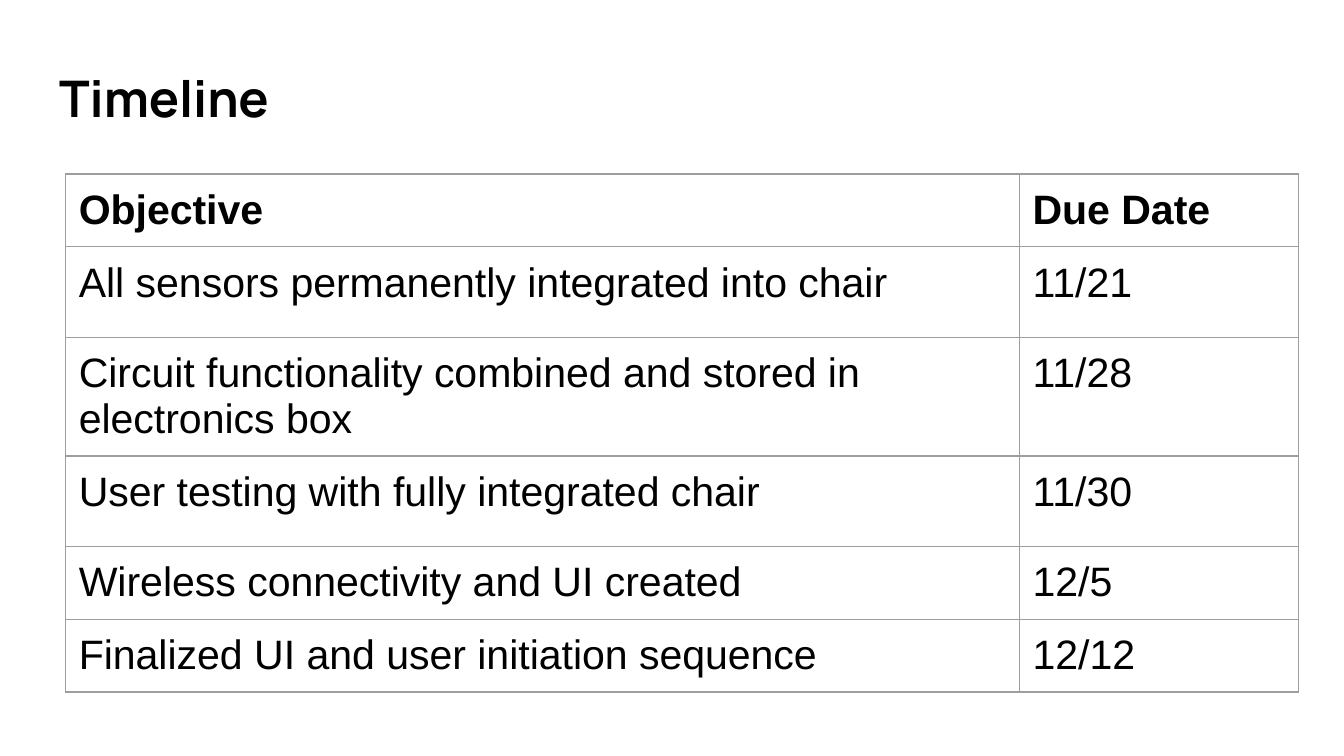
import pptx
import pptx.dml.color
import pptx.enum.text
import pptx.oxml
import pptx.oxml.ns
import pptx.util

Pt = pptx.util.Pt
ANCHOR = pptx.enum.text.MSO_ANCHOR

COLORS = {"text": "000000", "background": "FFFFFF", "border": "9E9E9E"}

MILESTONES = [
    ("Objective", "Due Date"),
    ("All sensors permanently integrated into chair", "11/21"),
    ("Circuit functionality combined and stored in electronics box", "11/28"),
    ("User testing with fully integrated chair", "11/30"),
    ("Wireless connectivity and UI created", "12/5"),
    ("Finalized UI and user initiation sequence", "12/12"),
]
COLUMN_WIDTHS = (511, 149.6)
ROW_HEIGHTS = (36, 48.4, 59, 48.4, 36, 36)


def rgb(name):
    return pptx.dml.color.RGBColor.from_string(COLORS[name])


class TimelineSlide:
    """Holds the style and the slide being filled."""

    title_font, title_size = "Manrope", 27
    table_font, table_size = "Arial", 22
    inset, border_width = 7.2, 0.75

    def __init__(self, slide):
        self.slide = slide
        fill = slide.background.fill
        fill.solid()
        fill.fore_color.rgb = rgb("background")

    def style_text(self, text_frame, font_name, size, bold):
        for paragraph in text_frame.paragraphs:
            paragraph.alignment = pptx.enum.text.PP_ALIGN.LEFT
            for run in paragraph.runs:
                run.font.name = font_name
                run.font.size = Pt(size)
                run.font.bold = bold
                run.font.color.rgb = rgb("text")

    def set_insets(self, holder):
        """Set equal margins on a text frame or a table cell."""
        holder.margin_left = holder.margin_right = Pt(self.inset)
        holder.margin_top = holder.margin_bottom = Pt(self.inset)

    def add_title(self, text, left, top, width, height):
        title = self.slide.shapes.title
        title.left, title.top = Pt(left), Pt(top)
        title.width, title.height = Pt(width), Pt(height)
        frame = title.text_frame
        frame.text = text
        frame.word_wrap = True
        frame.auto_size = pptx.enum.text.MSO_AUTO_SIZE.NONE
        frame.vertical_anchor = ANCHOR.TOP
        self.set_insets(frame)
        self.style_text(frame, self.title_font, self.title_size, True)

    def add_borders(self, cell):
        properties = cell._tc.get_or_add_tcPr()
        for position, side in enumerate(("lnL", "lnR", "lnT", "lnB")):
            line = pptx.oxml.parse_xml(
                f'<a:{side} {pptx.oxml.ns.nsdecls("a")} w="{Pt(self.border_width)}">'
                f'<a:solidFill><a:srgbClr val="{COLORS["border"]}"/></a:solidFill>'
                f'</a:{side}>'
            )
            properties.insert(position, line)

    def add_table(self, rows, left, top, widths, heights):
        table = self.slide.shapes.add_table(
            len(rows), len(widths), Pt(left), Pt(top), Pt(sum(widths)), Pt(sum(heights))
        ).table
        table.horz_banding = False
        for column, width in zip(table.columns, widths):
            column.width = Pt(width)
        for row_index, (row, height) in enumerate(zip(rows, heights)):
            table.rows[row_index].height = Pt(height)
            for column_index, text in enumerate(row):
                cell = table.cell(row_index, column_index)
                cell.text_frame.text = text
                cell.vertical_anchor = ANCHOR.TOP
                self.set_insets(cell)
                cell.fill.background()
                self.style_text(
                    cell.text_frame, self.table_font, self.table_size, row_index == 0
                )
                self.add_borders(cell)


def main():
    presentation = pptx.Presentation()
    presentation.slide_width, presentation.slide_height = Pt(720), Pt(405)
    title_only = presentation.slide_layouts[5]
    timeline = TimelineSlide(presentation.slides.add_slide(title_only))
    timeline.add_title("Timeline", 24.5, 28.8, 671, 49)
    timeline.add_table(MILESTONES, 35, 93.2, COLUMN_WIDTHS, ROW_HEIGHTS)
    presentation.save("out.pptx")


if __name__ == "__main__":
    main()
